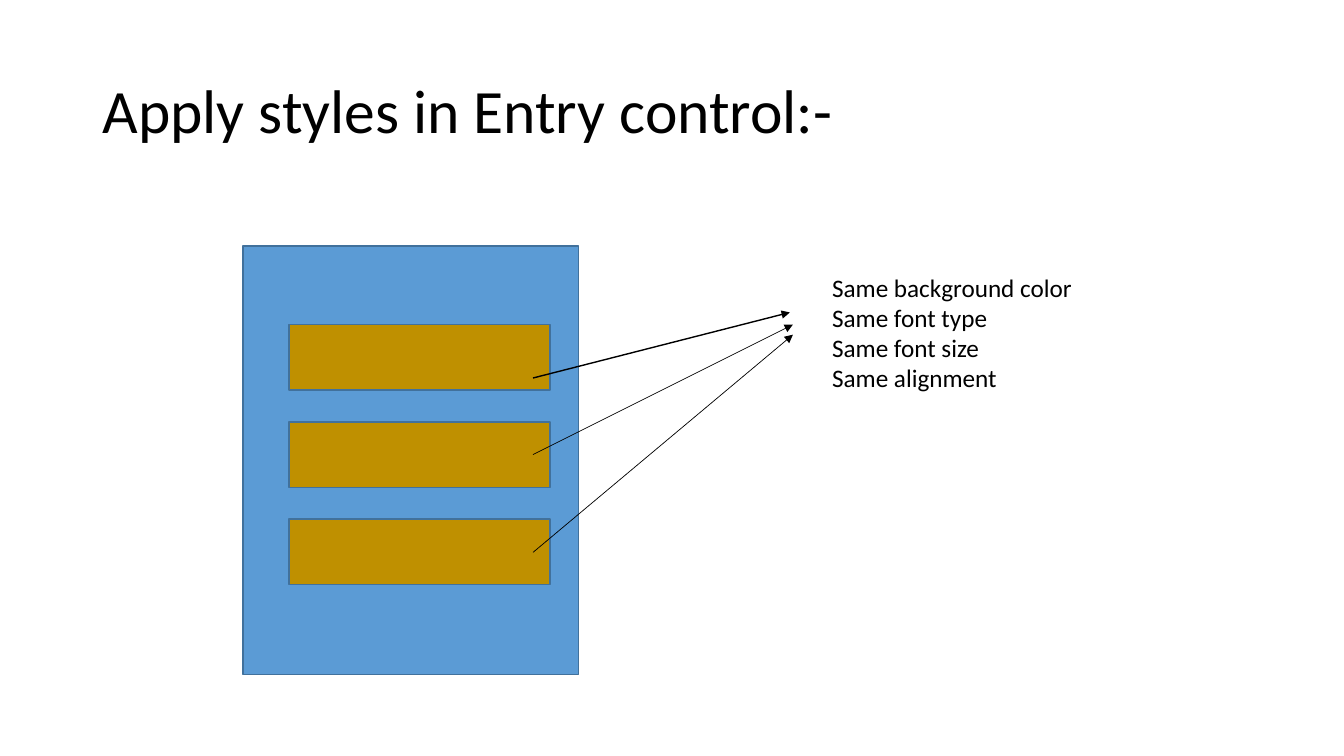
from dataclasses import dataclass

from lxml import etree
from pptx import Presentation
from pptx import util as u
from pptx.dml.color import RGBColor
from pptx.enum import shapes, text
from pptx.oxml.ns import qn

SLIDE_WIDTH, SLIDE_HEIGHT = u.Inches(13.34), u.Inches(7.5)
COLUMN, ROW = SLIDE_WIDTH / 100, SLIDE_HEIGHT / 100
BLACK, PAGE_BLUE, ENTRY_GOLD, BORDER = "000000", "5B9BD5", "BF9000", "41719C"


@dataclass
class Area:
    column: float
    row: float
    columns: float
    rows: float

    def emu(self) -> tuple[int, int, int, int]:
        return (round(self.column * COLUMN), round(self.row * ROW),
                round(self.columns * COLUMN), round(self.rows * ROW))


@dataclass
class Box:
    area: Area
    fill: str


@dataclass
class Arrow:
    start_row: float
    end_column: float
    end_row: float
    weight: float


@dataclass
class Label:
    area: Area
    lines: list[str]
    size: int
    frame: dict
    paragraph: dict


ENTRY_TOP, ENTRY_STEP, ENTRY_COUNT = 42.93, 12.87, 3
ARROW_START = 39.66

BOXES = [Box(Area(18.07, 32.53, 24.96, 56.67), PAGE_BLUE)] + [
    Box(Area(21.51, ENTRY_TOP + index * ENTRY_STEP, 19.42, 8.67), ENTRY_GOLD)
    for index in range(ENTRY_COUNT)
]
ARROWS = [
    Arrow(50, 58.77, 41.33, 1),
    Arrow(60.13, 59, 42.93, 0.5),
    Arrow(73.07, 59, 44.27, 0.5),
]
TITLE = Label(
    Area(6.9, 5.33, 86.2, 19.33), ["Apply styles in Entry control:-"], 44,
    {"word_wrap": True, "vertical_anchor": text.MSO_ANCHOR.MIDDLE},
    {"line_spacing": 0.9},
)
SHARED_STYLES = Label(
    Area(61.17, 35.33, 19.34, 17.33),
    ["Same background color", "Same font type", "Same font size", "Same alignment"], 18,
    {"word_wrap": False, "auto_size": text.MSO_AUTO_SIZE.SHAPE_TO_FIT_TEXT}, {},
)


def color(value: str) -> RGBColor:
    return RGBColor.from_string(value)


def apply_format(target, values: dict) -> None:
    for name, value in values.items():
        setattr(target, name, value)


def draw_box(slide, box: Box) -> None:
    shape = slide.shapes.add_shape(shapes.MSO_SHAPE.RECTANGLE, *box.area.emu())
    shape.shadow.inherit = False
    shape.fill.solid()
    shape.fill.fore_color.rgb = color(box.fill)
    shape.line.color.rgb = color(BORDER)
    shape.line.width = u.Pt(1)


def draw_arrow(slide, arrow: Arrow) -> None:
    connector = slide.shapes.add_connector(
        shapes.MSO_CONNECTOR.STRAIGHT,
        round(ARROW_START * COLUMN), round(arrow.start_row * ROW),
        round(arrow.end_column * COLUMN), round(arrow.end_row * ROW))
    connector.line.color.rgb = color(BLACK)
    connector.line.width = u.Pt(arrow.weight)
    properties = connector.line._get_or_add_ln()
    etree.SubElement(properties, qn("a:tailEnd"), type="triangle")
    etree.SubElement(connector._element.spPr, qn("a:effectLst"))


def draw_label(slide, label: Label) -> None:
    frame = slide.shapes.add_textbox(*label.area.emu()).text_frame
    apply_format(frame, label.frame)
    frame.text = "\n".join(label.lines)
    for paragraph in frame.paragraphs:
        apply_format(paragraph, label.paragraph)
        font = paragraph.runs[0].font
        apply_format(font, {"name": "Calibri", "size": u.Pt(label.size)})
        font.color.rgb = color(BLACK)


def main() -> None:
    presentation = Presentation()
    apply_format(presentation, {"slide_width": SLIDE_WIDTH, "slide_height": SLIDE_HEIGHT})
    slide = presentation.slides.add_slide(presentation.slide_layouts[6])
    draw_label(slide, TITLE)
    for box in BOXES:
        draw_box(slide, box)
    for arrow in ARROWS:
        draw_arrow(slide, arrow)
    draw_label(slide, SHARED_STYLES)
    presentation.save("out.pptx")


if __name__ == "__main__":
    main()
